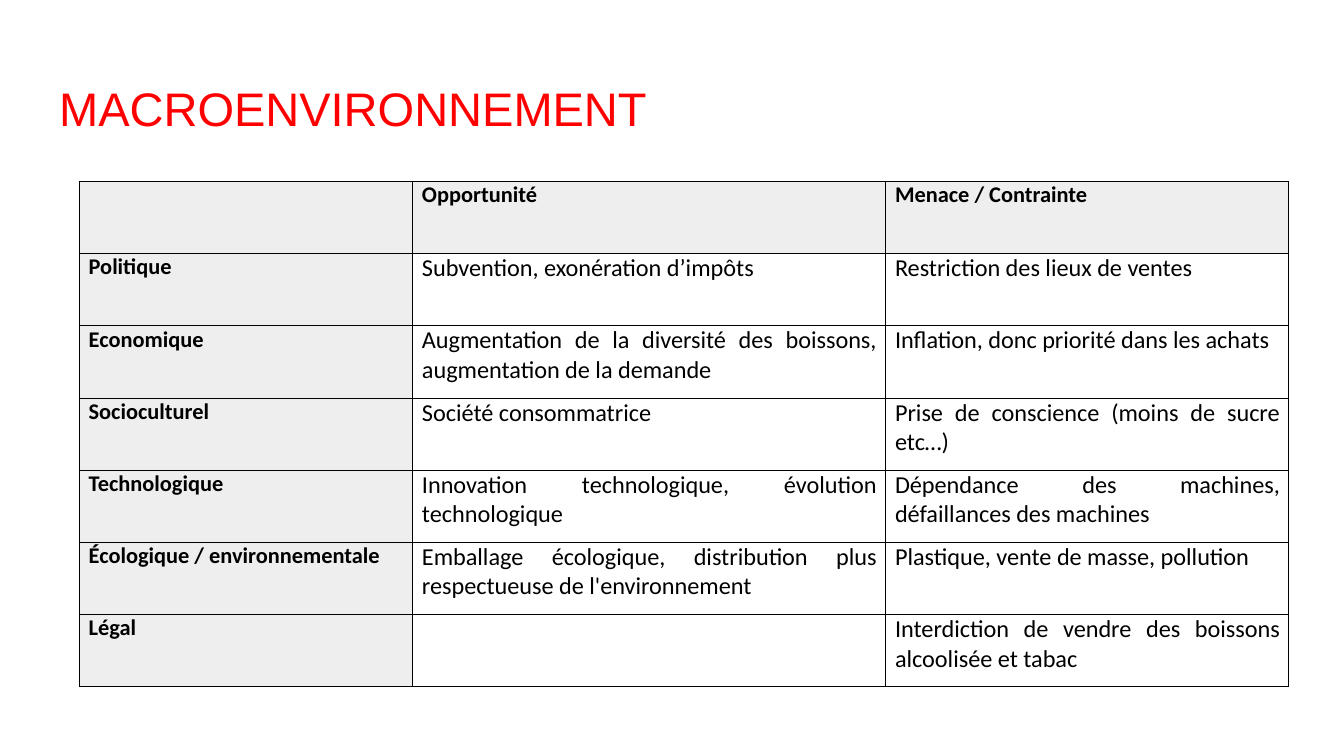
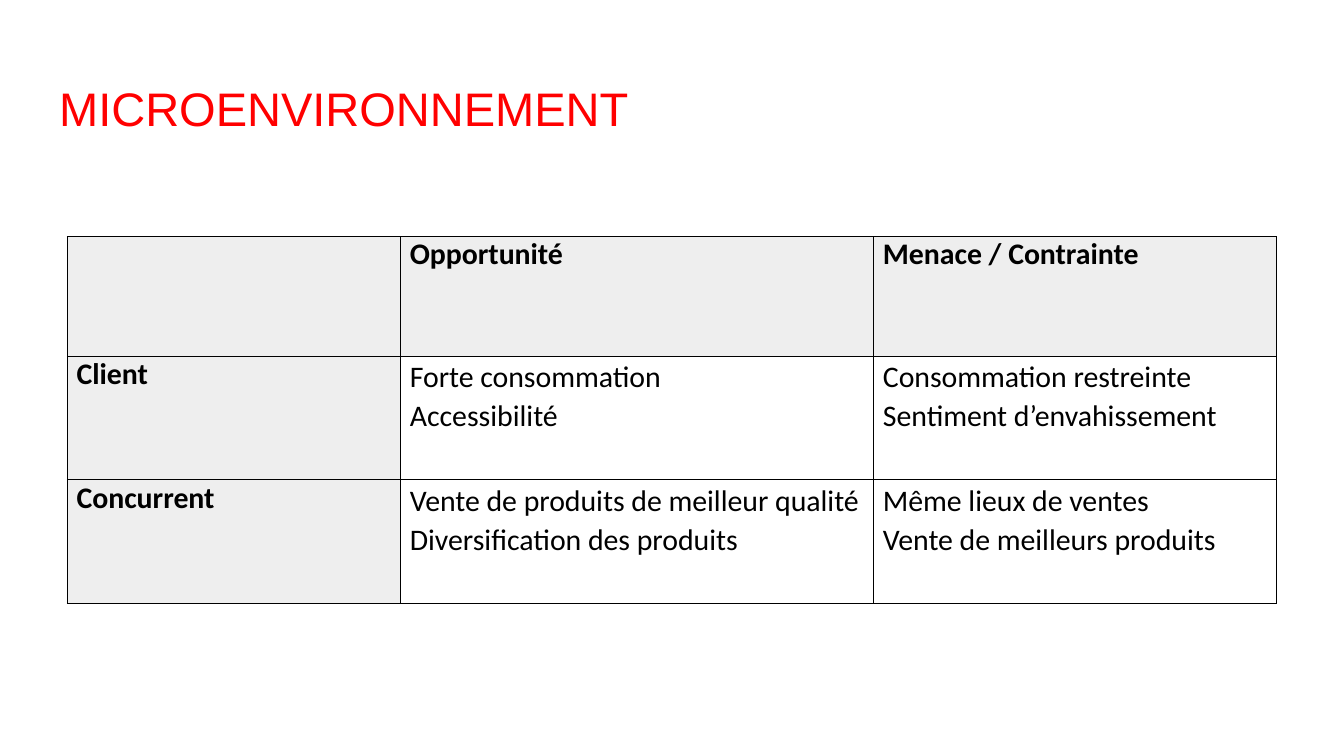
from lxml.etree import SubElement
from pptx import Presentation
from pptx.dml.color import RGBColor
from pptx.enum.text import MSO_ANCHOR, PP_ALIGN
from pptx.oxml.ns import qn
from pptx.util import Inches, Pt

COLORS = {"title": "FF0000", "text": "000000", "head": "EEEEEE",
          "body": "FFFFFF", "border": "000000"}
COLUMN_WIDTHS = [2.48, 3.52, 3]
HEADINGS = ["", "Opportunité", "Menace / Contrainte"]

PAGES = [
    {"title": "MACROENVIRONNEMENT", "left": 0.59, "top": 1.35,
     "heights": [3.76 / 7] * 7, "head_size": 12, "body_size": 13,
     "line_spacing": None, "space_after": None,
     "rows": [
         ["Politique", "Subvention, exonération d’impôts",
          "Restriction des lieux de ventes"],
         ["Economique",
          "Augmentation de la diversité des boissons, augmentation de la demande",
          "Inflation, donc priorité dans les achats"],
         ["Socioculturel", "Société consommatrice",
          "Prise de conscience (moins de sucre etc…)"],
         ["Technologique", "Innovation technologique, évolution technologique",
          "Dépendance des machines, défaillances des machines"],
         ["Écologique / environnementale",
          "Emballage écologique, distribution plus respectueuse de l'environnement",
          "Plastique, vente de masse, pollution"],
         ["Légal", "", "Interdiction de vendre des boissons alcoolisée et tabac"],
     ]},
    {"title": "MICROENVIRONNEMENT", "left": 0.5, "top": 1.76,
     "heights": [0.89, 0.92, 0.92], "head_size": 16, "body_size": 16,
     "line_spacing": 1.08, "space_after": 8,
     "rows": [
         ["Client", "Forte consommation\nAccessibilité",
          "Consommation restreinte\nSentiment d’envahissement"],
         ["Concurrent",
          "Vente de produits de meilleur qualité\nDiversification des produits",
          "Même lieux de ventes\nVente de meilleurs produits"],
     ]},
]


def write_text(frame, text, *, size, font="Calibri", color="text", bold=False,
               align=PP_ALIGN.JUSTIFY, line_spacing=None, space_after=None):
    """Write one paragraph per line; space_after follows the last one."""
    for index, line in enumerate(text.split("\n")):
        paragraph = frame.add_paragraph() if index else frame.paragraphs[0]
        paragraph.alignment = align
        if line_spacing:
            paragraph.line_spacing = line_spacing
        span = paragraph.add_run()
        span.text = line
        span.font.size = Pt(size)
        span.font.name = font
        span.font.bold = bold
        span.font.color.rgb = RGBColor.from_string(COLORS[color])
    if space_after:
        paragraph.space_after = Pt(space_after)


def style_cell(cell, fill):
    """Set margins, border and fill of a table cell."""
    cell.margin_left = cell.margin_right = Inches(0.07)
    cell.margin_top = cell.margin_bottom = 0
    properties = cell._tc.get_or_add_tcPr()
    for side in ("a:lnL", "a:lnR", "a:lnT", "a:lnB"):
        line = SubElement(properties, qn(side), w=str(Pt(0.5)))
        solid = SubElement(line, qn("a:solidFill"))
        SubElement(solid, qn("a:srgbClr"), val=COLORS["border"])
    cell.fill.solid()
    cell.fill.fore_color.rgb = RGBColor.from_string(COLORS[fill])


# Widescreen deck, 16 by 9
deck = Presentation()
deck.slide_width = Inches(10)
deck.slide_height = Inches(10 * 9 / 16)

for content in PAGES:
    page = deck.slides.add_slide(deck.slide_layouts[5])

    # Title
    title = page.shapes.title
    title.left, title.top = Inches(0.34), Inches(0.49)
    title.width, title.height = Inches(9.32), Inches(0.63)
    frame = title.text_frame
    frame.margin_left = frame.margin_right = Inches(0.1)
    frame.margin_top = frame.margin_bottom = Inches(0.1)
    frame.vertical_anchor = MSO_ANCHOR.MIDDLE
    write_text(frame, content["title"], size=25.2, font="Arial", color="title",
               align=PP_ALIGN.LEFT)

    # Table
    rows = [HEADINGS] + content["rows"]
    table = page.shapes.add_table(
        len(rows), len(HEADINGS), Inches(content["left"]), Inches(content["top"]),
        Inches(sum(COLUMN_WIDTHS)), Inches(sum(content["heights"]))).table
    table.first_row = table.horz_banding = False
    for column, width in zip(table.columns, COLUMN_WIDTHS):
        column.width = Inches(width)
    for row, height in zip(table.rows, content["heights"]):
        row.height = Inches(height)

    # Cells: the first row and the first column are headings
    for row_index, texts in enumerate(rows):
        for column_index, text in enumerate(texts):
            cell = table.cell(row_index, column_index)
            is_head = row_index == 0 or column_index == 0
            style_cell(cell, "head" if is_head else "body")
            if not text:
                continue
            if is_head:
                write_text(cell.text_frame, text, size=content["head_size"], bold=True)
            else:
                write_text(cell.text_frame, text, size=content["body_size"],
                           line_spacing=content["line_spacing"],
                           space_after=content["space_after"])

deck.save("out.pptx")
